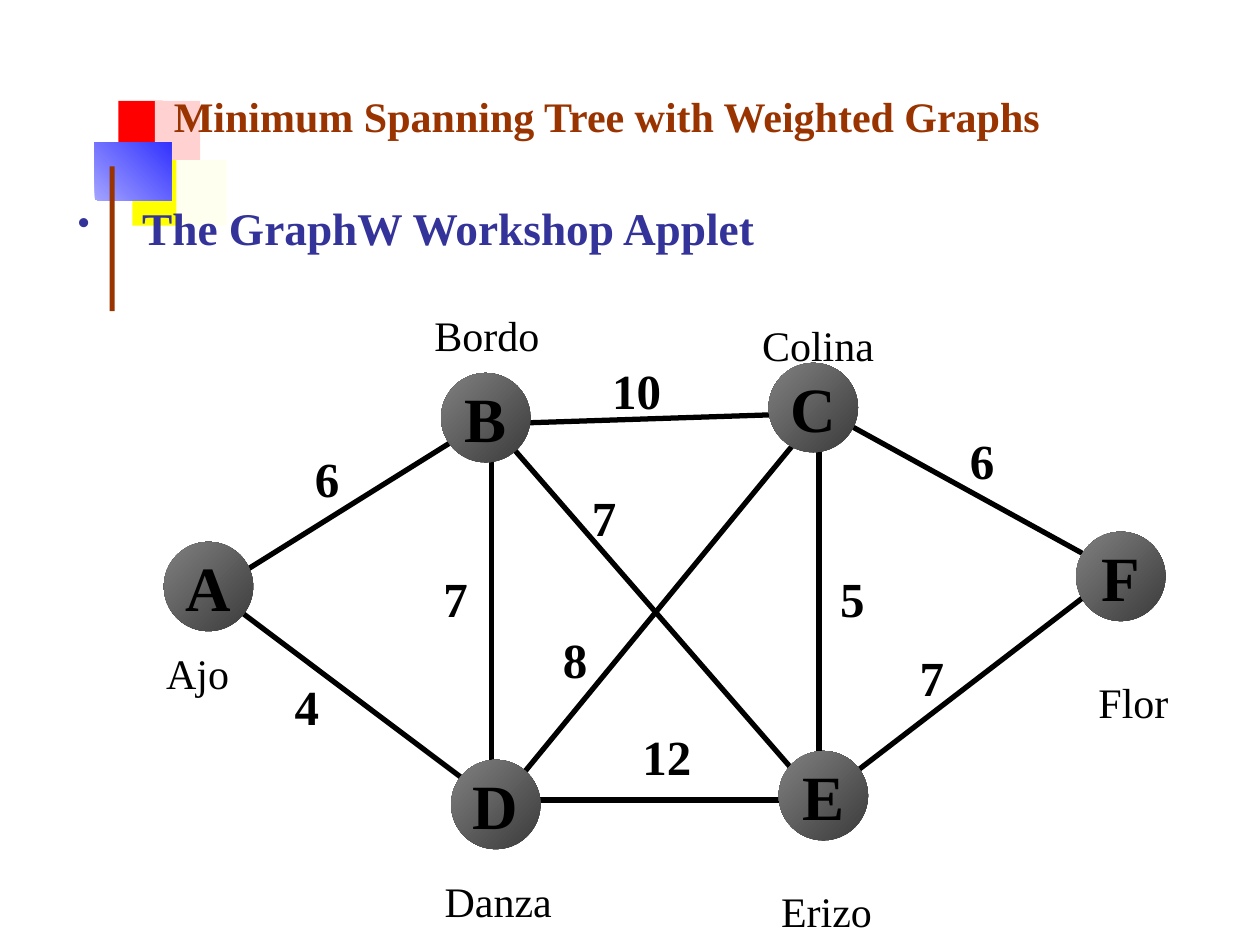
from lxml.etree import SubElement
from pptx import Presentation
from pptx.dml.color import RGBColor
from pptx.enum.shapes import MSO_CONNECTOR, MSO_SHAPE
from pptx.enum.text import MSO_ANCHOR as ANCHOR, PP_ALIGN as ALIGN
from pptx.oxml.ns import qn
from pptx.util import Inches, Pt

TITLE = "Minimum Spanning Tree with Weighted Graphs"
HEADING = "The GraphW Workshop Applet"
DECOR = [
    ((0.94, 0.8, 0.35, 0.52), ["FF0000"]),
    ((1.23, 0.8, 0.36, 0.52), ["FFD1D1"]),
    ((1.05, 1.27, 0.46, 0.52), ["FFFF00"]),
    ((1.4, 1.27, 0.4, 0.52), ["FFFFEF"]),
    ((0.75, 1.13, 0.61, 0.46), ["A3A3FF", "3333FF", 45]),
    ((0.87, 1.32, 0.04, 1.15), ["993300"]),
]
EDGES = [
    ((1.69, 4.69), (3.9, 6.35)),
    ((1.69, 4.69), (3.82, 3.36)),
    ((6.5, 6.35), (6.5, 3.28)),
    ((3.9, 3.36), (6.5, 6.35)),
    ((6.57, 3.28), (8.86, 4.54)),
    ((3.98, 6.35), (6.5, 6.35)),
    ((4.06, 3.36), (6.5, 3.28)),
    ((6.5, 3.28), (3.98, 6.35)),
    ((6.5, 6.35), (8.86, 4.54)),
    ((3.9, 3.43), (3.9, 6.35)),
]
WEIGHTS = [
    ("4", 2.24, 5.32), ("6", 2.4, 3.51), ("5", 6.57, 4.46), ("7", 4.6, 3.82),
    ("6", 7.6, 3.37), ("12", 5, 5.72), ("10", 4.76, 2.81), ("8", 4.37, 4.95),
    ("7", 7.2, 5.09), ("7", 3.42, 4.46),
]
NODES = [
    ("A", 1.3, 4.3), ("B", 3.5, 2.96), ("C", 6.1, 2.88),
    ("F", 8.54, 4.22), ("E", 6.18, 5.96), ("D", 3.58, 6.03),
]
CITIES = [
    ("Ajo", 1.22, 5.09, 0.72), ("Flor", 8.62, 5.32, 0.8), ("Erizo", 6.1, 6.98, 0.95),
    ("Danza", 3.43, 6.9, 1.08), ("Bordo", 3.35, 2.41, 1.06), ("Colina", 5.95, 2.49, 1.12),
]
DIAMETER = 0.71
NODE_FILL = ["3B3B3B", "808080", 135]


def color(code):
    """Turn a hex string into a colour."""
    return RGBColor.from_string(code)


def write(box, text, size, code="000000", bold=True, wrap=True, anchor=ANCHOR.TOP, **layout):
    """Put one formatted paragraph into a shape and return it."""
    frame = box.text_frame
    frame.word_wrap, frame.vertical_anchor = wrap, anchor
    para = frame.paragraphs[0]
    for name, value in {"alignment": ALIGN.LEFT, **layout}.items():
        setattr(para, name, value)
    span = para.add_run()
    span.text = text
    span.font.color.rgb = color(code)
    for name, value in {"name": "Times New Roman", "size": Pt(size), "bold": bold}.items():
        setattr(span.font, name, value)
    return para


def add_filled(page, kind, place, paint):
    """Add a shape without outline, filled with one colour or a gradient."""
    shape = page.shapes.add_shape(kind, *map(Inches, place))
    shape.shadow.inherit = False
    shape.line.fill.background()
    if len(paint) == 1:
        shape.fill.solid()
        shape.fill.fore_color.rgb = color(paint[0])
    else:
        shape.fill.gradient()
        shape.fill.gradient_angle = paint[2]
        for stop, code in zip(shape.fill.gradient_stops, paint):
            stop.color.rgb = color(code)
    return shape


def add_text(page, place, text, size, **style):
    """Add a text box with one paragraph and return the paragraph."""
    return write(page.shapes.add_textbox(*map(Inches, place)), text, size, **style)


def add_edge(page, start, end):
    """Draw one black graph edge."""
    edge = page.shapes.add_connector(MSO_CONNECTOR.STRAIGHT, *map(Inches, start + end))
    edge.line.color.rgb = color("000000")
    edge.line.width = Pt(3)
    SubElement(edge._element.spPr, qn("a:effectLst"))


def add_bullet(para, code, percent):
    """Give a paragraph a hanging round bullet."""
    props = para._p.get_or_add_pPr()
    props.set("marL", str(Inches(0.61)))
    props.set("indent", str(Inches(-0.51)))
    SubElement(SubElement(props, qn("a:buClr")), qn("a:srgbClr"), val=code)
    SubElement(props, qn("a:buSzPct"), val=str(percent * 1000))
    SubElement(props, qn("a:buChar"), char="•")


def main():
    """Build the weighted graph slide."""
    deck = Presentation()
    deck.slide_width, deck.slide_height = Inches(10), Inches(7.5)
    page = deck.slides.add_slide(deck.slide_layouts[5])
    for place, paint in DECOR:
        add_filled(page, MSO_SHAPE.RECTANGLE, place, paint)

    title = page.shapes.title
    page.shapes._spTree.append(title._element)
    for name, value in zip(("left", "top", "width", "height"), (1.22, 0.6, 8.63, 0.57)):
        setattr(title, name, Inches(value))
    para = write(title, TITLE, 24, "993300", anchor=ANCHOR.BOTTOM, line_spacing=Pt(48))
    para._p.get_or_add_pPr().set("marL", str(Inches(0.06)))

    heading = add_text(page, (0.42, 1.5, 9.38, 0.52), HEADING, 25.9,
                       code="333399", line_spacing=Pt(34))
    add_bullet(heading, "333399", 77)

    for start, end in EDGES:
        add_edge(page, start, end)
    for weight, left, top in WEIGHTS:
        add_text(page, (left, top, 0.63, 0.57), weight, 28)
    for letter, left, top in NODES:
        node = add_filled(page, MSO_SHAPE.OVAL, (left, top, DIAMETER, DIAMETER), NODE_FILL)
        write(node, letter, 36, wrap=False, anchor=ANCHOR.MIDDLE, alignment=ALIGN.CENTER)
    for city, left, top, width in CITIES:
        add_text(page, (left, top, width, 0.5), city, 24, bold=False)
    deck.save("out.pptx")


if __name__ == "__main__":
    main()
